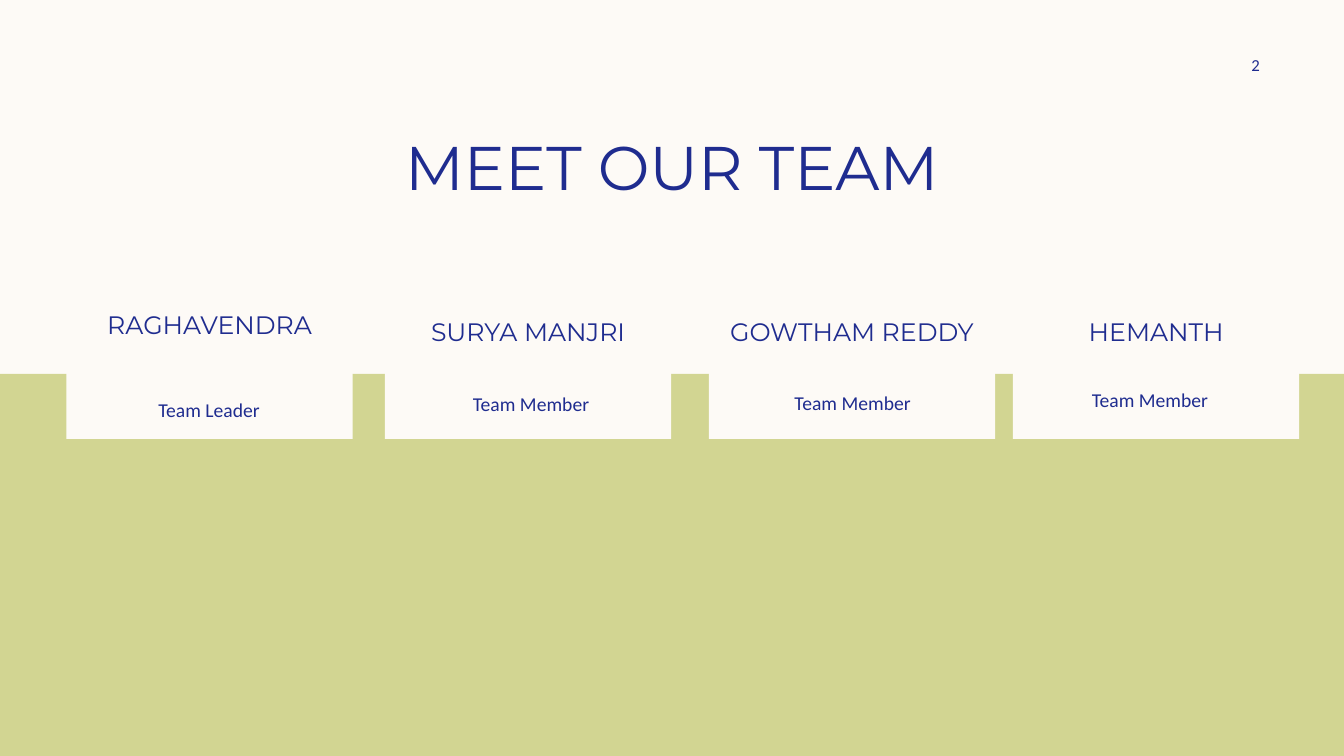
import pptx
import pptx.dml.color
import pptx.enum.shapes
import pptx.enum.text
import pptx.util

Pt = pptx.util.Pt
RGBColor = pptx.dml.color.RGBColor
ALIGN = pptx.enum.text.PP_ALIGN
ANCHOR = pptx.enum.text.MSO_ANCHOR

CREAM = RGBColor(0xFD, 0xFA, 0xF6)
GREEN = RGBColor(0xD2, 0xD5, 0x92)
NAVY = RGBColor(0x1F, 0x2C, 0x8F)

TITLE = {"name": "Montserrat", "size": Pt(44)}
NAME = {"name": "Montserrat", "size": Pt(18)}
ROLE = {"name": "Calibri", "size": Pt(14)}
NUMBER = {"name": "Calibri", "size": Pt(12)}

CARD_W = 204.5
CARD_BOTTOM = 313.5

# name, card left, card top, role, role box (left, top, width, height), role anchor
TEAM = [
    ("RAGHAVENDRA", 47.5, 221, "Team Leader",
     (60.5, 275.8, 177.8, 28.8), ANCHOR.BOTTOM),
    ("SURYA MANJRI", 275, 226.3, "Team Member",
     (289.4, 273.6, 180, 28.8), ANCHOR.MIDDLE),
    ("GOWTHAM REDDY", 506.3, 226.3, "Team Member",
     (519.1, 275.8, 180, 26.6), ANCHOR.TOP),
    ("HEMANTH", 723.6, 226.3, "Team Member",
     (731.5, 273.6, 180, 30.2), ANCHOR.TOP),
]


def write(sp, text, font, align=ALIGN.CENTER, anchor=ANCHOR.TOP, inset=0, wrap=True):
    tf = sp.text_frame
    frame = {"word_wrap": wrap, "vertical_anchor": anchor}
    for side in ("left", "top", "right", "bottom"):
        frame["margin_" + side] = Pt(inset)
    for key, value in frame.items():
        setattr(tf, key, value)
    p = tf.paragraphs[0]
    p.alignment = align
    r = p.add_run()
    r.text = text
    for key, value in font.items():
        setattr(r.font, key, value)
    r.font.color.rgb = NAVY


def add_block(s, box, fill):
    sp = s.shapes.add_shape(pptx.enum.shapes.MSO_SHAPE.RECTANGLE, *map(Pt, box))
    sp.shadow.inherit = False
    sp.fill.solid()
    sp.fill.fore_color.rgb = fill
    sp.line.fill.background()
    return sp


def add_label(s, box, text, font, **layout):
    write(s.shapes.add_textbox(*map(Pt, box)), text, font, **layout)


def add_member(s, name, left, top, role, role_box, role_anchor):
    card = add_block(s, (left, top, CARD_W, CARD_BOTTOM - top), CREAM)
    write(card, name, NAME)
    add_label(s, role_box, role, ROLE, anchor=role_anchor, inset=3.6)


def main():
    prs = pptx.Presentation()
    prs.slide_width, prs.slide_height = Pt(960), Pt(540)
    s = prs.slides.add_slide(prs.slide_layouts[6])
    s.background.fill.solid()
    s.background.fill.fore_color.rgb = CREAM

    add_block(s, (-2, 267, 962, 273), GREEN)
    add_label(s, (60, 41, 840, 107.3), "MEET OUR TEAM", TITLE,
              anchor=ANCHOR.BOTTOM, inset=3.6)
    add_label(s, (890, 39, 10, 14), "2", NUMBER,
              align=ALIGN.RIGHT, anchor=ANCHOR.MIDDLE, wrap=False)
    for member in TEAM:
        add_member(s, *member)
    prs.save("out.pptx")


if __name__ == "__main__":
    main()
